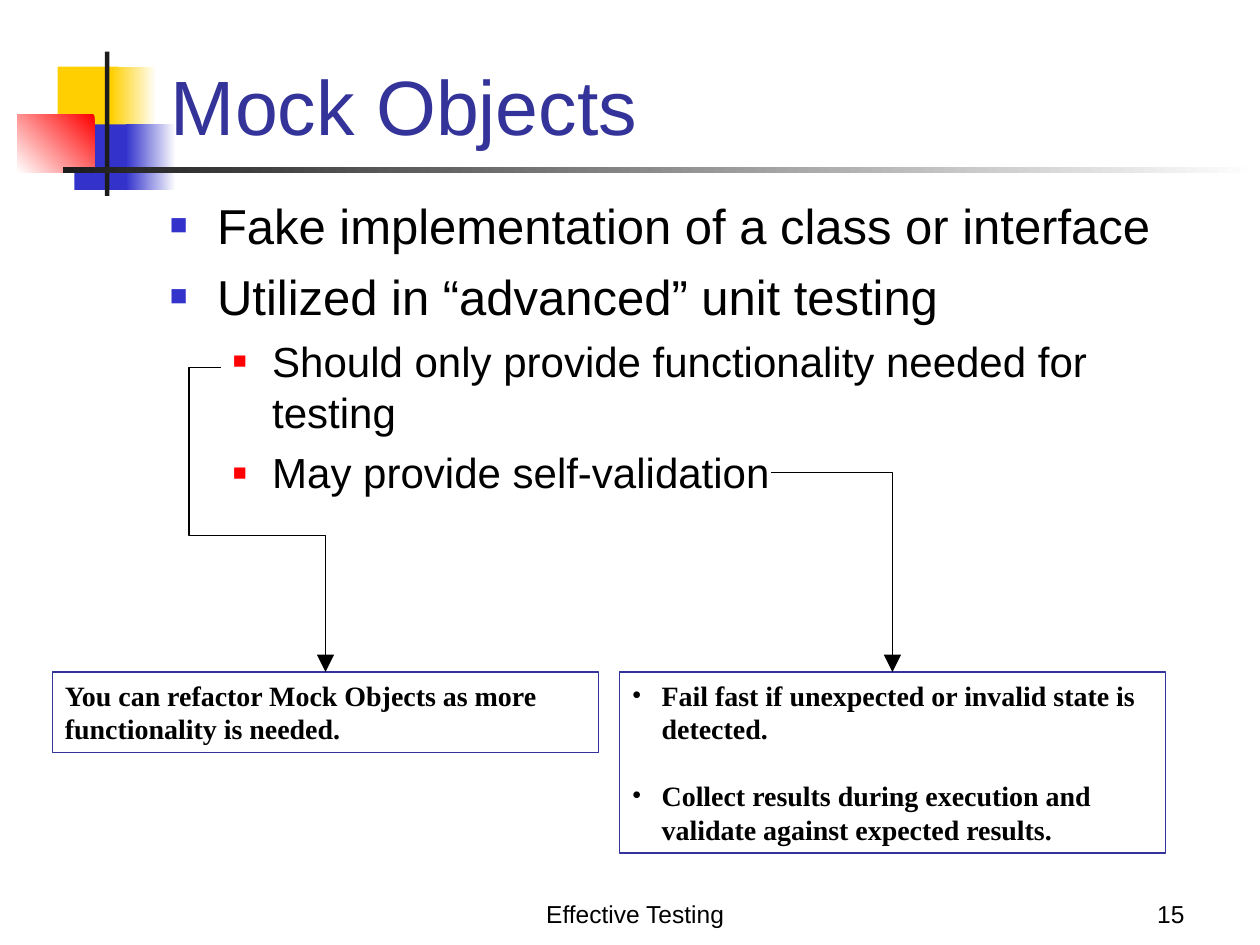
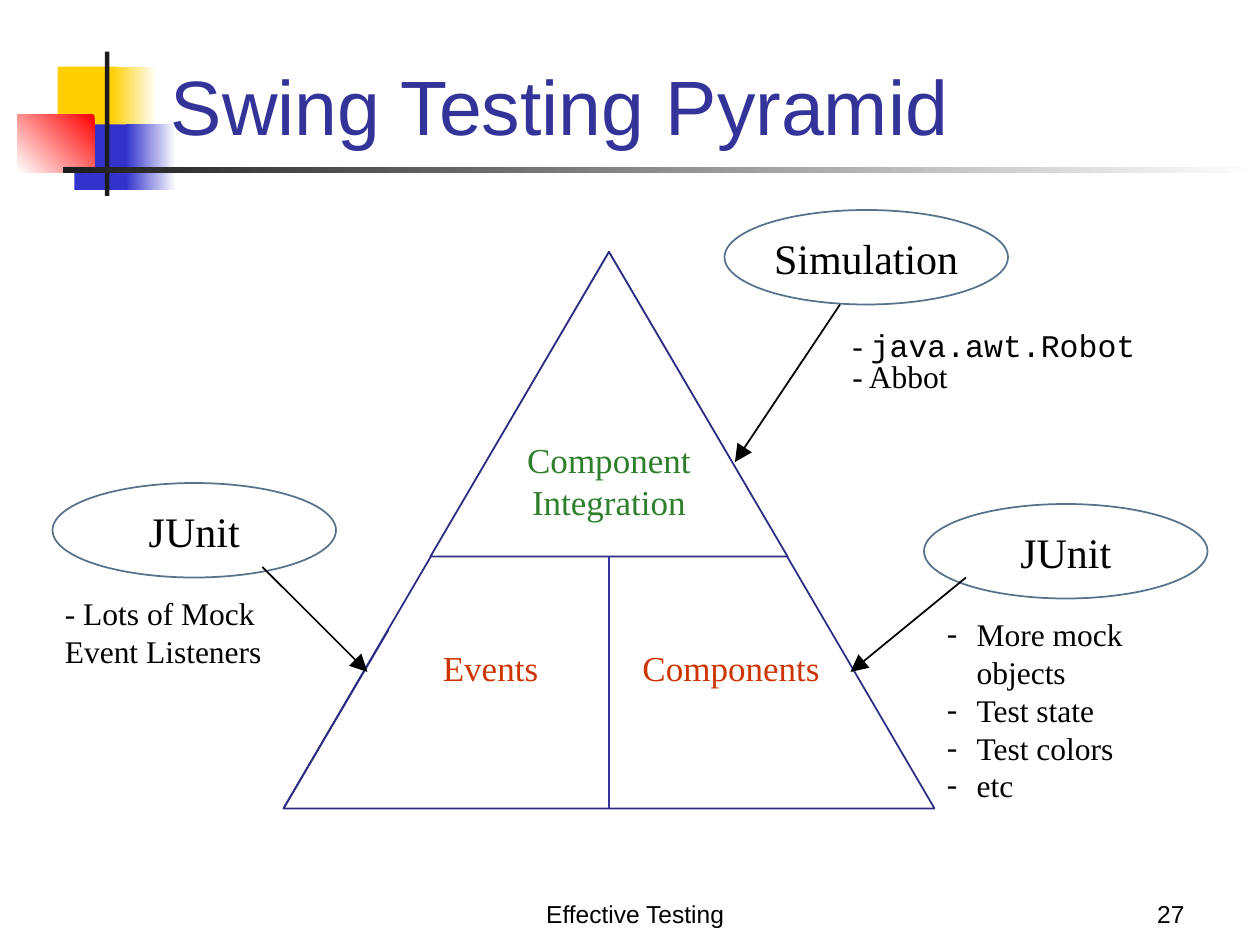
from dataclasses import dataclass
from lxml.etree import SubElement
from pptx import Presentation
from pptx.dml.color import RGBColor
from pptx.enum.shapes import MSO_CONNECTOR as Link, MSO_SHAPE as Preset
from pptx.enum.text import MSO_ANCHOR as Anchor, MSO_AUTO_SIZE as Fit, PP_ALIGN as Align
from pptx.oxml.ns import qn
from pptx.util import Pt


@dataclass(frozen=True)
class Theme:
    white: str = "FFFFFF"
    black: str = "000000"
    yellow: str = "FFCF01"
    blue: str = "3333CC"
    red: str = "FF0000"
    charcoal: str = "1C1C1C"
    navy: str = "333399"
    outline: str = "2C2C85"
    steel: str = "56738B"
    green: str = "2E7F2B"
    rust: str = "CC3500"
    sans: str = "Arial"
    serif: str = "Times New Roman"
    mono: str = "Courier New"
    title: int = 44
    point: int = 28
    subpoint: int = 24
    label: int = 20
    detail: int = 18
    callout: int = 16
    footer: int = 14


T = Theme()


@dataclass(frozen=True)
class Style:
    size: int
    font: str = T.serif
    color: str = T.black
    bold: bool = False
    align: Align = Align.LEFT
    before: float = 0
    bullet: str = ""
    bullet_color: str = T.black
    bullet_percent: int = 100
    margin: float = 17
    hang: float = 17


POINT = Style(T.point, T.sans, before=7, bullet="■", bullet_color=T.blue,
              bullet_percent=60, margin=27, hang=27)
SUBPOINT = Style(T.subpoint, T.sans, before=6, bullet="■", bullet_color=T.red,
                 bullet_percent=55, margin=58.5, hang=22.5)
CALLOUT = Style(T.callout, bold=True)
CALLOUT_ITEM = Style(T.callout, bold=True, bullet="•", before=19)
DETAIL = Style(T.detail)
DETAIL_ITEM = Style(T.detail, bullet="-")
OVAL = Style(T.subpoint, align=Align.CENTER)
APEX = Style(T.label, color=T.green, align=Align.CENTER)
BASE = Style(T.label, color=T.rust)

# Boxes are (left, top, width, height) in points; fades are (start, end, angle).
ORNAMENTS = [
    ((33, 38, 34.5, 37.5), T.yellow),
    ((63.5, 38, 26, 37.5), (T.white, T.yellow, 180)),
    ((42.5, 71, 33, 37.5), T.blue),
    ((72, 71, 28.5, 37.5), (T.white, T.blue, 180)),
    ((10, 65.5, 44, 33), (T.red, T.white, 225)),
    ((60, 29.5, 2.5, 82.5), T.charcoal),
    ((36, 95.5, 684, 3.5), (T.white, T.charcoal, 180)),
]
FOOTER = "Effective Testing"

MOCK_POINTS = [
    ("Fake implementation of a class or interface", POINT),
    ("Utilized in “advanced” unit testing", POINT),
    ("Should only provide functionality needed for testing", SUBPOINT),
    ("May provide self-validation", SUBPOINT),
]
MOCK_CALLOUTS = [
    ((30, 384, 312, 46), CALLOUT,
     ["You can refactor Mock Objects as more functionality is needed."]),
    ((354, 384, 312, 103.5), CALLOUT_ITEM,
     ["Fail fast if unexpected or invalid state is detected.",
      "Collect results during execution and validate against expected results."]),
]
# Start, end, bend preset, bend adjustments
MOCK_ARROWS = [
    ((126, 210), (186, 384), "bentConnector4", (-30000, 55200)),
    ((440.5, 270), (510, 384), "bentConnector2", ()),
]

PYRAMID = (162, 144, 372, 318)
APEX_HEIGHT = 174
APEX_WORDS = ["Component", "Integration"]
BASE_WORDS = [("Events", (246, 366, 78, 31.5)), ("Components", (360, 366, 126, 31.5))]
TOOLS = [("Simulation", (414, 120)), ("JUnit", (30, 276)), ("JUnit", (528, 288))]
OVAL_SIZE = (162, 54)
TOOL_ARROWS = [
    ((480, 174), (420, 264)),
    ((150, 324), (210, 384)),
    ((552, 330), (486, 384)),
]
SIMULATORS = [
    ([("- ", T.serif), ("java.awt.Robot", T.mono)], 1.5),
    ([("- Abbot", T.serif)], 0.8),
]
EVENT_NOTE = ["- Lots of Mock Event Listeners"]
COMPONENT_NOTES = ["More mock objects", "Test state", "Test colors", "etc"]


def rgb(color):
    return RGBColor.from_string(color)


def points(values):
    return [Pt(value) for value in values]


def add_bullet(paragraph, style):
    props = paragraph._p.get_or_add_pPr()
    props.set("marL", str(Pt(style.margin)))
    props.set("indent", str(-Pt(style.hang)))
    tint = SubElement(props, qn("a:buClr"))
    SubElement(tint, qn("a:srgbClr"), val=style.bullet_color)
    SubElement(props, qn("a:buSzPct"), val=str(style.bullet_percent * 1000))
    SubElement(props, qn("a:buFont"), typeface=style.font)
    SubElement(props, qn("a:buChar"), char=style.bullet)


def style_paragraph(paragraph, style, first):
    if style.bullet:
        add_bullet(paragraph, style)
    paragraph.alignment = style.align
    if style.before and not first:
        paragraph.space_before = Pt(style.before)
    font = paragraph.font
    font.size, font.name, font.bold = Pt(style.size), style.font, style.bold
    font.color.rgb = rgb(style.color)


def write(frame, entries, anchor=Anchor.TOP, wrap=True, fit=Fit.NONE):
    """Fill a frame with (text, style) entries, one paragraph each."""
    frame.word_wrap, frame.auto_size, frame.vertical_anchor = wrap, fit, anchor
    for index, (text, style) in enumerate(entries):
        paragraph = frame.add_paragraph() if index else frame.paragraphs[0]
        style_paragraph(paragraph, style, index == 0)
        if text:
            paragraph.add_run().text = text


def styled(texts, style):
    return [(text, style) for text in texts]


def add_text(slide, box, entries, **layout):
    frame = slide.shapes.add_textbox(*points(box)).text_frame
    write(frame, entries, **layout)
    return frame


def add_shape(slide, preset, box, fill=None, line=None):
    shape = slide.shapes.add_shape(preset, *points(box))
    shape.shadow.inherit = False
    if fill is None:
        shape.fill.background()
    elif isinstance(fill, tuple):
        *ends, angle = fill
        shape.fill.gradient()
        shape.fill.gradient_angle = angle
        for stop, color in zip(shape.fill.gradient_stops, ends):
            stop.color.rgb = rgb(color)
    else:
        shape.fill.solid()
        shape.fill.fore_color.rgb = rgb(fill)
    if line:
        shape.line.color.rgb = rgb(line)
        shape.line.width = Pt(1)
    else:
        shape.line.fill.background()
    return shape


def add_line(slide, start, end, color=T.black, arrow=True, bend=None, adjustments=()):
    kind = Link.ELBOW if bend else Link.STRAIGHT
    line = slide.shapes.add_connector(kind, *points(start + end))
    line.line.color.rgb = rgb(color)
    line.line.width = Pt(1)
    props = line._element.spPr
    if arrow:
        SubElement(props.find(qn("a:ln")), qn("a:tailEnd"), type="triangle", w="lg", len="lg")
    SubElement(props, qn("a:effectLst"))
    if bend:
        geometry = props.find(qn("a:prstGeom"))
        geometry.set("prst", bend)
        guides = geometry.find(qn("a:avLst"))
        for number, value in enumerate(adjustments, 1):
            SubElement(guides, qn("a:gd"), name=f"adj{number}", fmla=f"val {value}")


def start_slide(deck, heading, number):
    slide = deck.slides.add_slide(deck.slide_layouts[5])
    for box, fill in ORNAMENTS:
        add_shape(slide, Preset.RECTANGLE, box, fill)
    title = slide.shapes.title
    title.element.getparent().append(title.element)
    title.left, title.top, title.width, title.height = points((90.5, 0, 613.5, 90))
    write(title.text_frame, [(heading, Style(T.title, T.sans, T.navy))], Anchor.BOTTOM)
    for text, box, align in [(FOOTER, (162, 498, 402, 36), Align.CENTER),
                             (str(number), (606, 498, 78, 36), Align.RIGHT)]:
        add_text(slide, box, [(text, Style(T.footer, T.sans, align=align))],
                 anchor=Anchor.BOTTOM)
    return slide


def build_mock_objects(deck):
    slide = start_slide(deck, "Mock Objects", 15)
    add_text(slide, (90, 108, 612, 384), MOCK_POINTS)
    for box, style, texts in MOCK_CALLOUTS:
        callout = add_shape(slide, Preset.RECTANGLE, box, line=T.navy)
        write(callout.text_frame, styled(texts, style))
    for start, end, bend, adjustments in MOCK_ARROWS:
        add_line(slide, start, end, bend=bend, adjustments=adjustments)


def build_pyramid(deck):
    slide = start_slide(deck, "Swing Testing Pyramid", 27)
    left, top, width, height = PYRAMID
    middle, bottom = left + width / 2, top + height
    apex_width = round(width * APEX_HEIGHT / height)
    apex_box = (middle - apex_width / 2, top, apex_width, APEX_HEIGHT)
    add_shape(slide, Preset.ISOSCELES_TRIANGLE, PYRAMID, T.white, T.outline)
    apex = add_shape(slide, Preset.ISOSCELES_TRIANGLE, apex_box, T.white, T.outline)
    write(apex.text_frame, styled(APEX_WORDS, APEX), Anchor.MIDDLE, wrap=False)
    add_line(slide, (middle, top + APEX_HEIGHT), (middle, bottom), T.navy, arrow=False)
    add_line(slide, (left, bottom), (222, 360), T.outline, arrow=False)
    for word, box in BASE_WORDS:
        add_text(slide, box, [(word, BASE)])

    for tool, corner in TOOLS:
        oval = add_shape(slide, Preset.OVAL, corner + OVAL_SIZE, T.white, T.steel)
        write(oval.text_frame, [(tool, OVAL)], Anchor.MIDDLE, wrap=False)
    for start, end in TOOL_ARROWS:
        add_line(slide, start, end)

    simulators = add_text(slide, (480, 172, 176, 57), styled([""] * len(SIMULATORS), DETAIL),
                          wrap=False, fit=Fit.SHAPE_TO_FIT_TEXT)
    for paragraph, (runs, spacing) in zip(simulators.paragraphs, SIMULATORS):
        paragraph.line_spacing = spacing
        for text, font in runs:
            run = paragraph.add_run()
            run.text, run.font.name = text, font
    add_text(slide, (30, 336, 132, 50.5), styled(EVENT_NOTE, DETAIL))
    add_text(slide, (534, 348, 168, 93.5), styled(COMPONENT_NOTES, DETAIL_ITEM))


def main():
    deck = Presentation()
    deck.slide_width, deck.slide_height = Pt(720), Pt(540)
    build_mock_objects(deck)
    build_pyramid(deck)
    deck.save("out.pptx")


if __name__ == "__main__":
    main()
